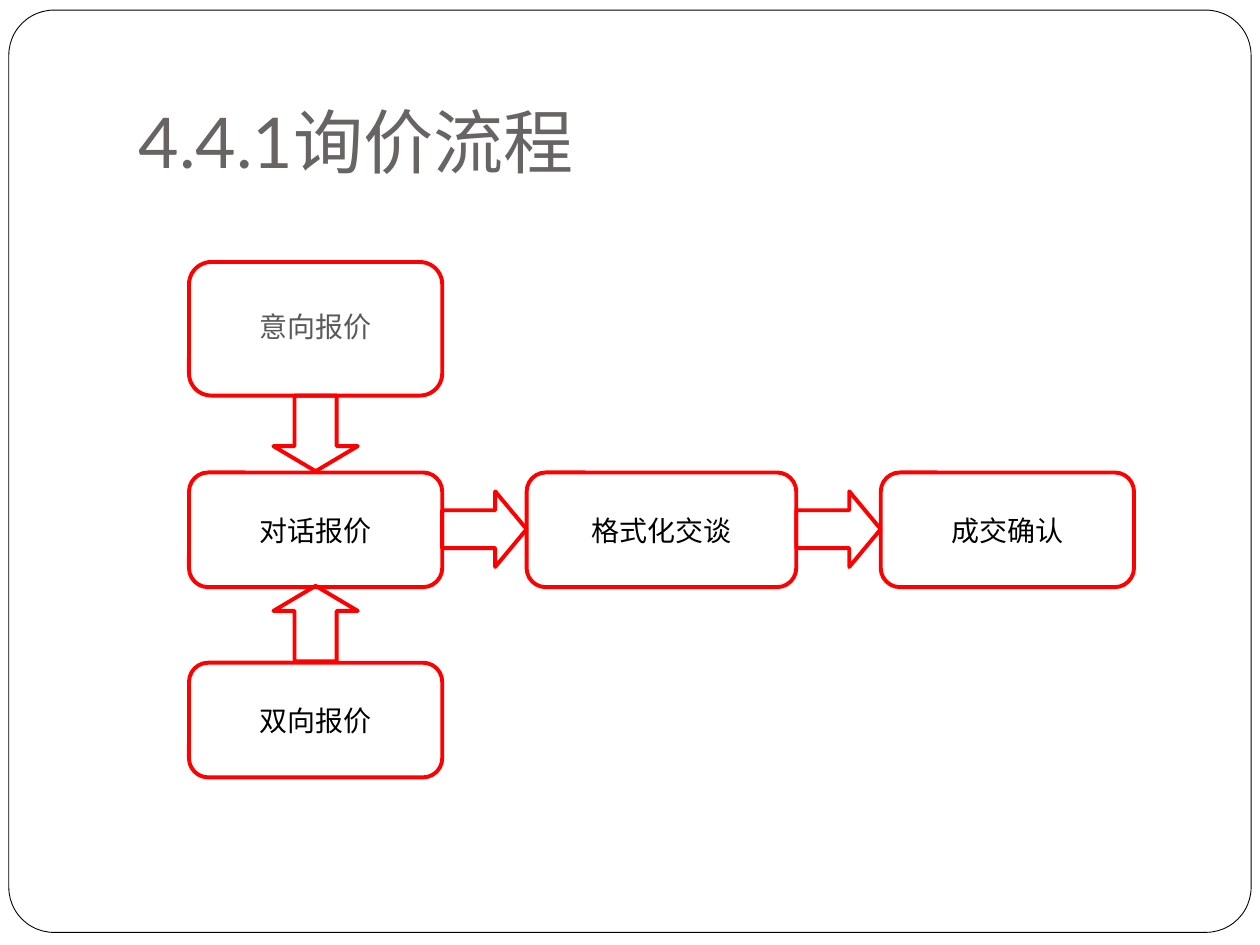
import pptx
from pptx.dml.color import RGBColor
from pptx.enum.shapes import MSO_SHAPE
from pptx.enum.text import MSO_ANCHOR, PP_ALIGN
from pptx.util import Inches, Pt

COLORS = {"paper": "FFFFFF", "frame": "000000", "title": "696464",
          "flow": "FF0000", "muted": "595959", "label": "000000"}


def write(shape, text, *, size, font, color, align, anchor, wrap, before=0, spacing=1.0):
    frame = shape.text_frame
    frame.word_wrap = wrap
    frame.vertical_anchor = anchor
    paragraph = frame.paragraphs[0]
    paragraph.alignment = align
    paragraph.space_before = Pt(before)
    paragraph.line_spacing = spacing
    run = paragraph.add_run()
    run.text = text
    run.font.size = Pt(size)
    run.font.name = font
    run.font.color.rgb = RGBColor.from_string(COLORS[color])


def add_outline(kind, left, top, width, height, adjustments, color, weight):
    shape = slide.shapes.add_shape(kind, Inches(left), Inches(top),
                                   Inches(width), Inches(height))
    for index, value in enumerate(adjustments):
        shape.adjustments[index] = value
    shape.shadow.inherit = False
    shape.fill.background()
    shape.line.color.rgb = RGBColor.from_string(COLORS[color])
    shape.line.width = Pt(weight)
    return shape


deck = pptx.Presentation()
deck.slide_width, deck.slide_height = Inches(10), Inches(7.5)
slide = deck.slides.add_slide(deck.slide_layouts[5])

# Rounded page frame, behind the title
page_frame = add_outline(MSO_SHAPE.ROUNDED_RECTANGLE, 0.07, 0.08, 9.86, 7.32,
                         [0.049], "frame", 0.5)
page_frame.fill.solid()
page_frame.fill.fore_color.rgb = RGBColor.from_string(COLORS["paper"])
slide.shapes.title.element.addprevious(page_frame.element)

title = slide.shapes.title
title.left, title.top = Inches(1), Inches(0.3)
title.width, title.height = Inches(8.5), Inches(1.25)
title.text_frame.margin_bottom = Inches(0.1)
write(title, "4.4.1询价流程", size=40, font="Lato", color="title",
      align=PP_ALIGN.LEFT, anchor=MSO_ANCHOR.BOTTOM, wrap=True)

# Steps: text, left, top, width, height, text format
muted = {"color": "muted", "before": 12, "spacing": 0.9}
plain = {"color": "label"}
steps = [
    ("意向报价", 1.5, 2.08, 2.01, 1.06, muted),
    ("对话报价", 1.5, 3.75, 2.01, 0.91, plain),
    ("格式化交谈", 4.18, 3.75, 2.14, 0.91, plain),
    ("成交确认", 6.99, 3.75, 2.01, 0.91, plain),
    ("双向报价", 1.5, 5.26, 2.01, 0.91, plain),
]
for text, left, top, width, height, text_format in steps:
    step = add_outline(MSO_SHAPE.ROUNDED_RECTANGLE, left, top, width, height,
                       [0.167], "flow", 2.25)
    write(step, text, size=16, font="Arial", align=PP_ALIGN.CENTER,
          anchor=MSO_ANCHOR.MIDDLE, wrap=False, **text_format)

# Arrows between the steps: direction, left, top, head length
arrows = [
    (MSO_SHAPE.DOWN_ARROW, 2.17, 3.14, 0.416),
    (MSO_SHAPE.RIGHT_ARROW, 3.51, 3.9, 0.416),
    (MSO_SHAPE.RIGHT_ARROW, 6.32, 3.9, 0.416),
    (MSO_SHAPE.UP_ARROW, 2.17, 4.65, 0.416),
]
for direction, left, top, head in arrows:
    if direction != MSO_SHAPE.RIGHT_ARROW:
        head = 0.332
    add_outline(direction, left, top, 0.67, 0.6, [0.5, head], "flow", 2.25)

deck.save("out.pptx")
